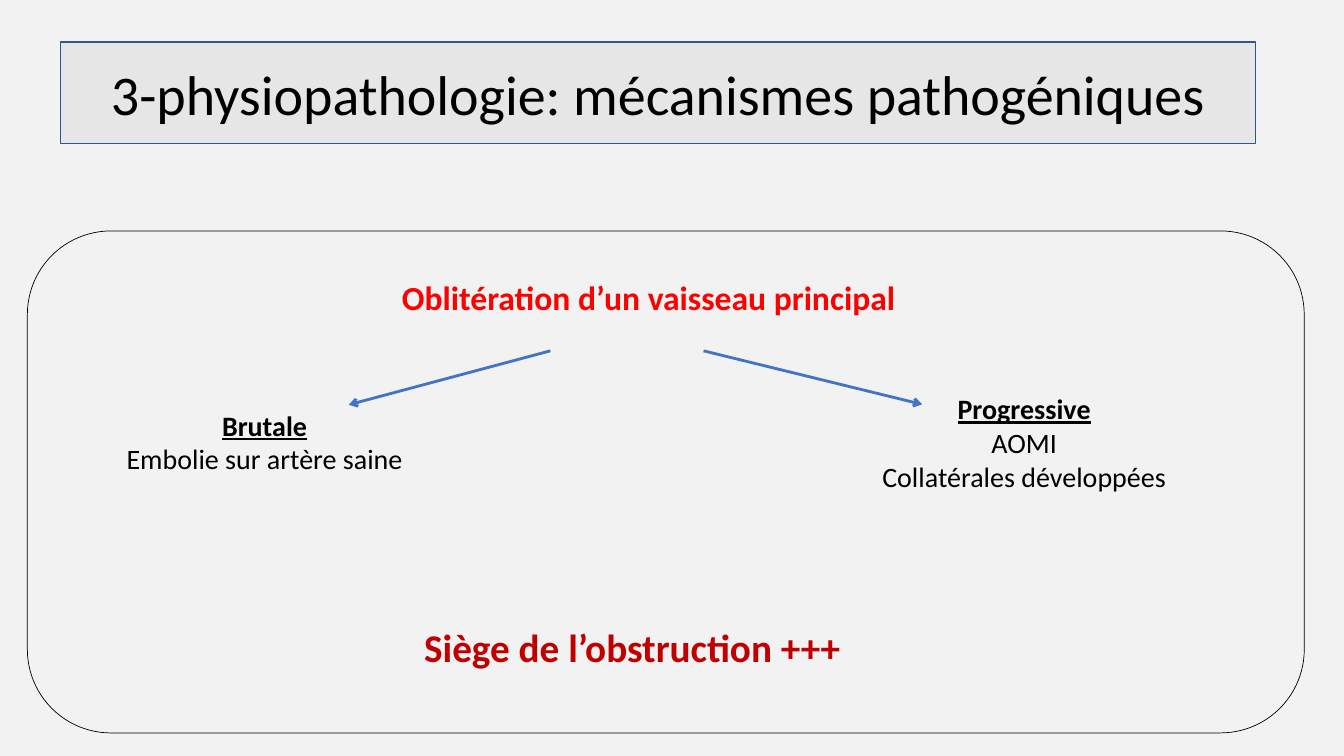
import pptx
import pptx.util
import pptx.dml.color
import pptx.enum.shapes
import pptx.enum.text
import pptx.oxml
import pptx.oxml.ns
from pptx.util import Cm

RGBColor = pptx.dml.color.RGBColor
Anchor = pptx.enum.text.MSO_ANCHOR
Align = pptx.enum.text.PP_ALIGN

BLACK = RGBColor(0x00, 0x00, 0x00)
PALE_GREY = RGBColor(0xF2, 0xF2, 0xF2)
TITLE_GREY = RGBColor(0xE7, 0xE6, 0xE6)
TITLE_BORDER = RGBColor(0x32, 0x54, 0x91)
RED = RGBColor(0xFF, 0x00, 0x00)
DARK_RED = RGBColor(0xC0, 0x00, 0x00)
ARROW_BLUE = RGBColor(0x44, 0x72, 0xC4)


class SlideBuilder:
    font_name = "Calibri"

    def __init__(self, presentation):
        self.slide = presentation.slides.add_slide(presentation.slide_layouts[5])
        background = self.slide.background.fill
        background.solid()
        background.fore_color.rgb = PALE_GREY

    def paint(self, shape, fill, border, width):
        shape.fill.solid()
        shape.fill.fore_color.rgb = fill
        shape.line.color.rgb = border
        shape.line.width = pptx.util.Pt(width)

    def set_lines(self, text_frame, lines, size, color, alignment, bold_lines=0):
        """Fill the frame, with its first bold_lines paragraphs in bold."""
        text_frame.text = "\n".join(lines)
        for index, paragraph in enumerate(text_frame.paragraphs):
            paragraph.alignment = alignment
            for run in paragraph.runs:
                run.font.name = self.font_name
                run.font.size = pptx.util.Pt(size)
                run.font.color.rgb = color
                run.font.bold = index < bold_lines

    def title(self, text, left, top, width, height):
        title = self.slide.shapes.title
        title.left, title.top = Cm(left), Cm(top)
        title.width, title.height = Cm(width), Cm(height)
        title.element.spPr.append(pptx.oxml.parse_xml(
            f'<a:prstGeom {pptx.oxml.ns.nsdecls("a")} prst="roundRect"><a:avLst/></a:prstGeom>'))
        self.paint(title, TITLE_GREY, TITLE_BORDER, 1)
        title.text_frame.vertical_anchor = Anchor.MIDDLE
        title.text_frame.word_wrap = True
        self.set_lines(title.text_frame, [text], 40, BLACK, Align.CENTER)

    def panel(self, left, top, width, height):
        panel = self.slide.shapes.add_shape(
            pptx.enum.shapes.MSO_SHAPE.ROUNDED_RECTANGLE,
            Cm(left), Cm(top), Cm(width), Cm(height))
        panel.shadow.inherit = False
        self.paint(panel, PALE_GREY, BLACK, 0.5)

    def text_box(self, lines, left, top, width, height, size, color, alignment=Align.LEFT):
        box = self.slide.shapes.add_textbox(Cm(left), Cm(top), Cm(width), Cm(height))
        box.text_frame.word_wrap = True
        box.text_frame.auto_size = pptx.enum.text.MSO_AUTO_SIZE.SHAPE_TO_FIT_TEXT
        self.set_lines(box.text_frame, lines, size, color, alignment, bold_lines=1)
        return box

    def branch(self, lines, left, top, width, height):
        """Add a centred block whose first line is an underlined heading."""
        box = self.text_box(lines, left, top, width, height, 20, BLACK, Align.CENTER)
        box.text_frame.paragraphs[0].runs[0].font.underline = True

    def arrow(self, start_x, start_y, end_x, end_y):
        arrow = self.slide.shapes.add_connector(
            pptx.enum.shapes.MSO_CONNECTOR.STRAIGHT,
            Cm(start_x), Cm(start_y), Cm(end_x), Cm(end_y))
        arrow.line.color.rgb = ARROW_BLUE
        arrow.line.width = pptx.util.Pt(2)
        namespace = pptx.oxml.ns.nsdecls("a")
        properties = arrow.element.spPr
        properties.find(pptx.oxml.ns.qn("a:ln")).append(
            pptx.oxml.parse_xml(f'<a:tailEnd {namespace} type="arrow"/>'))
        properties.append(pptx.oxml.parse_xml(f"<a:effectLst {namespace}/>"))


def main():
    presentation = pptx.Presentation()
    presentation.slide_width = Cm(33.87)
    presentation.slide_height = Cm(19.05)

    builder = SlideBuilder(presentation)
    builder.title("3-physiopathologie: mécanismes pathogéniques", 1.52, 1.06, 30.12, 2.56)
    builder.panel(0.69, 5.82, 32.18, 12.65)
    builder.text_box(["Oblitération d’un vaisseau principal"], 9.88, 6.86, 13.46, 1.28, 24, RED)
    builder.branch(["Brutale", "Embolie sur artère saine"], 2.86, 10.16, 7.62, 1.97)
    builder.branch(["Progressive", "AOMI", "Collatérales développées"], 21.16, 9.75, 9.3, 2.82)
    builder.text_box(["Siège de l’obstruction +++"], 10.44, 15.57, 12.17, 1.45, 28, DARK_RED)
    builder.arrow(13.87, 8.84, 8.79, 10.2)
    builder.arrow(17.73, 8.84, 23.24, 10.19)
    presentation.save("out.pptx")


if __name__ == "__main__":
    main()
